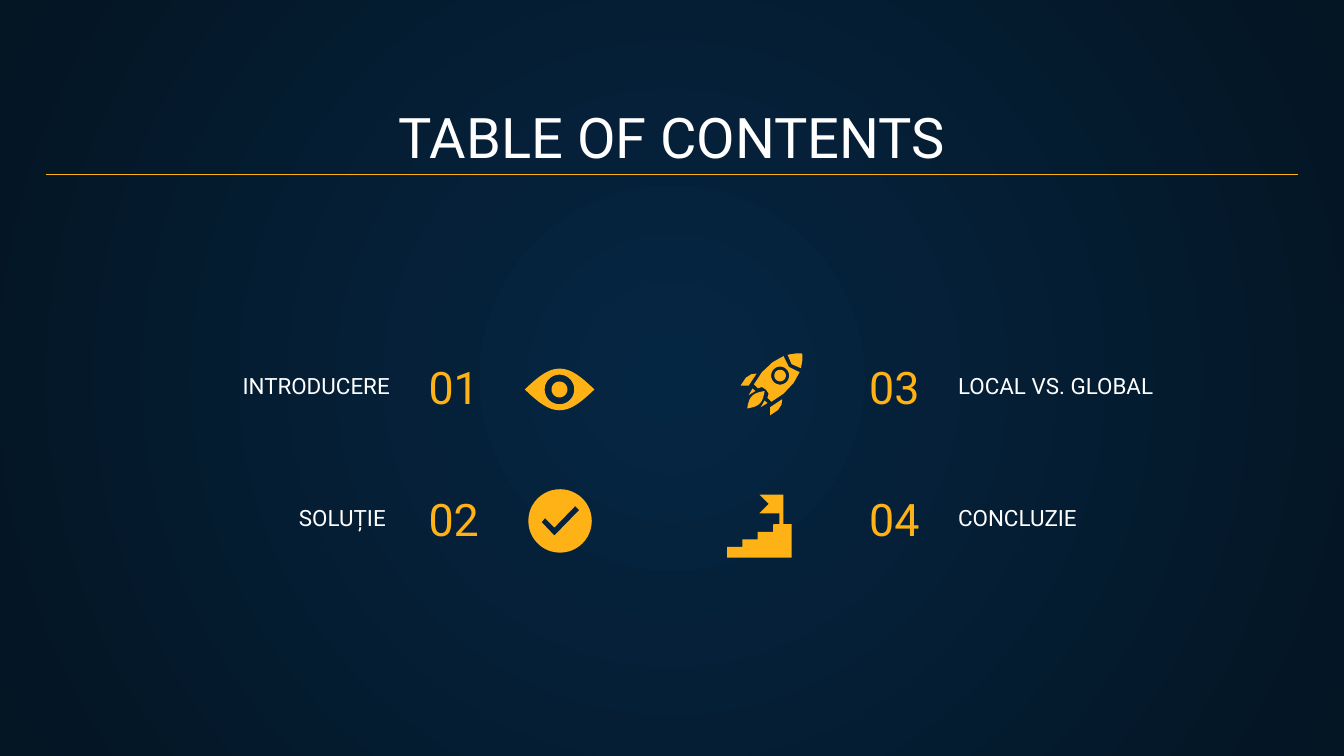
"""Build the table of contents slide with four numbered topics and their icons."""
from dataclasses import dataclass
from math import atan2, cos, hypot, pi, sin

from lxml import etree
from pptx import Presentation
from pptx import util as u
from pptx.dml.color import RGBColor
from pptx.enum import shapes, text
from pptx.oxml import ns

AMBER = RGBColor(0xFF, 0xB2, 0x15)
WHITE = RGBColor(0xFF, 0xFF, 0xFF)
NAVY = RGBColor(0x05, 0x26, 0x43)
MIDNIGHT = RGBColor(0x04, 0x15, 0x23)
FONT_NAME = "Roboto"
GRID_POINTS = 0.72
CURVE_STEPS = 24
MIRROR_SUM = 860
LEFT, CENTER, RIGHT = text.PP_ALIGN.LEFT, text.PP_ALIGN.CENTER, text.PP_ALIGN.RIGHT

Point = tuple[float, float]
Contour = list[Point]
Outline = list[Contour]


@dataclass(frozen=True)
class Label:
    wording: str
    left: float
    top: float
    width: float
    height: float
    align: text.PP_ALIGN
    size: float
    color: RGBColor


@dataclass(frozen=True)
class Topic:
    number: str
    name: str
    name_left: float
    row: int
    on_left: bool


TITLE = Label("TABLE OF CONTENTS", 24.5, 50.4, 671, 47.5, CENTER, 30, WHITE)
TOPICS = (
    Topic("01", "INTRODUCERE", 52.6, 0, True),
    Topic("02", "SOLUȚIE", 50.4, 1, True),
    Topic("03", "LOCAL VS. GLOBAL", 506.2, 0, False),
    Topic("04", "CONCLUZIE", 506.2, 1, False),
)


def circle(center_x: float, center_y: float, radius: float) -> Contour:
    """Return a round contour."""
    angles = [pi * step / CURVE_STEPS for step in range(2 * CURVE_STEPS)]
    return [(center_x + radius * cos(angle), center_y + radius * sin(angle)) for angle in angles]


def leaf(start: Point, end: Point, bulge: float) -> Contour:
    """Return a pointed oval between two tips."""
    (x, y), (end_x, end_y) = start, end
    half, turn = hypot(end_x - x, end_y - y) / 2, atan2(end_y - y, end_x - x)
    contour = []
    for step in range(2 * CURVE_STEPS):
        share = step / CURVE_STEPS
        along = 2 * half * (share if share < 1 else 2 - share)
        across = bulge * sin(pi * share)
        contour.append((x + along * cos(turn) - across * sin(turn),
                        y + along * sin(turn) + across * cos(turn)))
    return contour


def mirrored(contour: Contour) -> Contour:
    """Reflect a contour over the rocket's diagonal axis, in reverse order."""
    return [(MIRROR_SUM - y, MIRROR_SUM - x) for x, y in reversed(contour)]


def eye_icon() -> list[Outline]:
    """Return the eye with its iris ring and pupil."""
    return [[leaf((390.5, 289.8), (442.3, 289.8), 15.5),
             circle(416.3, 289.8, 11), circle(416.3, 289.8, 5.9)]]


def check_icon() -> list[Outline]:
    """Return the disc with a tick cut out."""
    tick = [(428, 376.5), (431, 379.5), (412.5, 398.5), (403, 388.5), (405.5, 385.5), (412.5, 392.5)]
    return [[circle(416.7, 387.6, 23.6), tick]]


def stairs_icon() -> list[Outline]:
    """Return four rising steps with a flag on top."""
    stairs = [(541, 415)]
    for step in range(4):
        tread = 407 - 5.6 * step
        stairs += [(541 + 11.4 * step, tread), (541 + 11.4 * (step + 1), tread)]
    stairs[-1:] = [(580, 390), (580, 382), (565, 382), (572, 375), (565, 368),
                   (583, 368), (583, 390), (589, 390), (589, 415)]
    return [[stairs]]


def rocket_icon() -> list[Outline]:
    """Return the rocket, symmetric about its diagonal axis."""
    side = [(583, 265), (575, 269.5), (567, 277), (561, 286), (564, 289), (567, 288)]
    body = side + [(570, 290)] + mirrored(side) + [(587, 273)]
    nose_side = [(586, 264), (592, 263), (596.5, 263)]
    nose = nose_side + mirrored(nose_side) + [(589, 271)]
    fin = [(563, 278), (557, 287), (551, 287), (555, 281), (559, 278.5)]
    spark = [(560, 289), (557, 294), (562, 291)]
    window = (580.5, 279.5)
    parts = [nose, leaf((556, 304), (569, 291), 4), circle(*window, 4.3)]
    for piece in (fin, spark):
        parts += [piece, mirrored(piece)]
    return [[body, circle(*window, 6.7)]] + [[part] for part in parts]


def draw_outline(container, outline: Outline) -> None:
    """Draw the contours as one amber freeform."""
    contours = [[(u.Pt(x * GRID_POINTS), u.Pt(y * GRID_POINTS)) for x, y in contour]
                for contour in outline]
    builder = container.build_freeform(*contours[0][0], scale=1.0)
    builder.add_line_segments(contours[0][1:], close=True)
    for first, *others in contours[1:]:
        builder.move_to(*first)
        builder.add_line_segments(others, close=True)
    shape = builder.convert_to_shape()
    shape.shadow.inherit = False
    shape.fill.solid()
    shape.fill.fore_color.rgb = AMBER
    shape.line.fill.background()


def draw_label(slide, label: Label) -> None:
    """Draw one line of text standing on the bottom of its box."""
    bounds = (label.left, label.top, label.width, label.height)
    frame = slide.shapes.add_textbox(*map(u.Pt, bounds)).text_frame
    margins = {f"margin_{side}": u.Pt(7.2) for side in ("left", "top", "right", "bottom")}
    frame_format = {"word_wrap": True, "vertical_anchor": text.MSO_ANCHOR.BOTTOM, **margins}
    for name, value in frame_format.items():
        setattr(frame, name, value)
    paragraph = frame.paragraphs[0]
    paragraph.alignment = label.align
    run = paragraph.add_run()
    run.text = label.wording
    for name, value in {"name": FONT_NAME, "size": u.Pt(label.size)}.items():
        setattr(run.font, name, value)
    run.font.color.rgb = label.color


def draw_topic(slide, topic: Topic) -> None:
    """Draw the number and the name of a topic."""
    top = 181.4 + 70.6 * topic.row
    number_left, number_align, name_align = (
        (222.5, LEFT, RIGHT) if topic.on_left else (406.8, RIGHT, LEFT))
    draw_label(slide, Label(topic.number, number_left, top, 92.9, 47.5, number_align, 24, AMBER))
    draw_label(slide, Label(topic.name, topic.name_left, top + 24.5, 163.4, 15.1,
                            name_align, 12, WHITE))


def paint_background(slide) -> None:
    """Fill the background with a gradient that spreads from the centre."""
    fill = slide.background.fill
    fill.gradient()
    for stop, color in zip(fill.gradient_stops, (NAVY, MIDNIGHT)):
        stop.color.rgb = color
    gradient = slide.element.find(".//" + ns.qn("a:gradFill"))
    linear = gradient.find(ns.qn("a:lin"))
    radial = etree.Element(ns.qn("a:path"), {"path": "circle"})
    etree.SubElement(radial, ns.qn("a:fillToRect"), {side: "50000" for side in "ltrb"})
    gradient.replace(linear, radial)


def draw_rule(slide) -> None:
    """Draw the amber line under the title."""
    ends = map(u.Pt, (24.5, 93.6, 695.5, 93.6))
    rule = slide.shapes.add_connector(shapes.MSO_CONNECTOR.STRAIGHT, *ends)
    rule.line.color.rgb = AMBER
    rule.line.width = u.Pt(0.75)
    etree.SubElement(rule._element.spPr, ns.qn("a:effectLst"))


def main() -> None:
    """Build and save the presentation."""
    presentation = Presentation()
    presentation.slide_width, presentation.slide_height = u.Pt(720), u.Pt(405)
    slide = presentation.slides.add_slide(presentation.slide_layouts[6])
    paint_background(slide)
    draw_label(slide, TITLE)
    for topic in TOPICS:
        draw_topic(slide, topic)
    rocket = slide.shapes.add_group_shape()
    for outline in rocket_icon():
        draw_outline(rocket.shapes, outline)
    for outline in check_icon() + stairs_icon() + eye_icon():
        draw_outline(slide.shapes, outline)
    draw_rule(slide)
    presentation.save("out.pptx")


if __name__ == "__main__":
    main()
